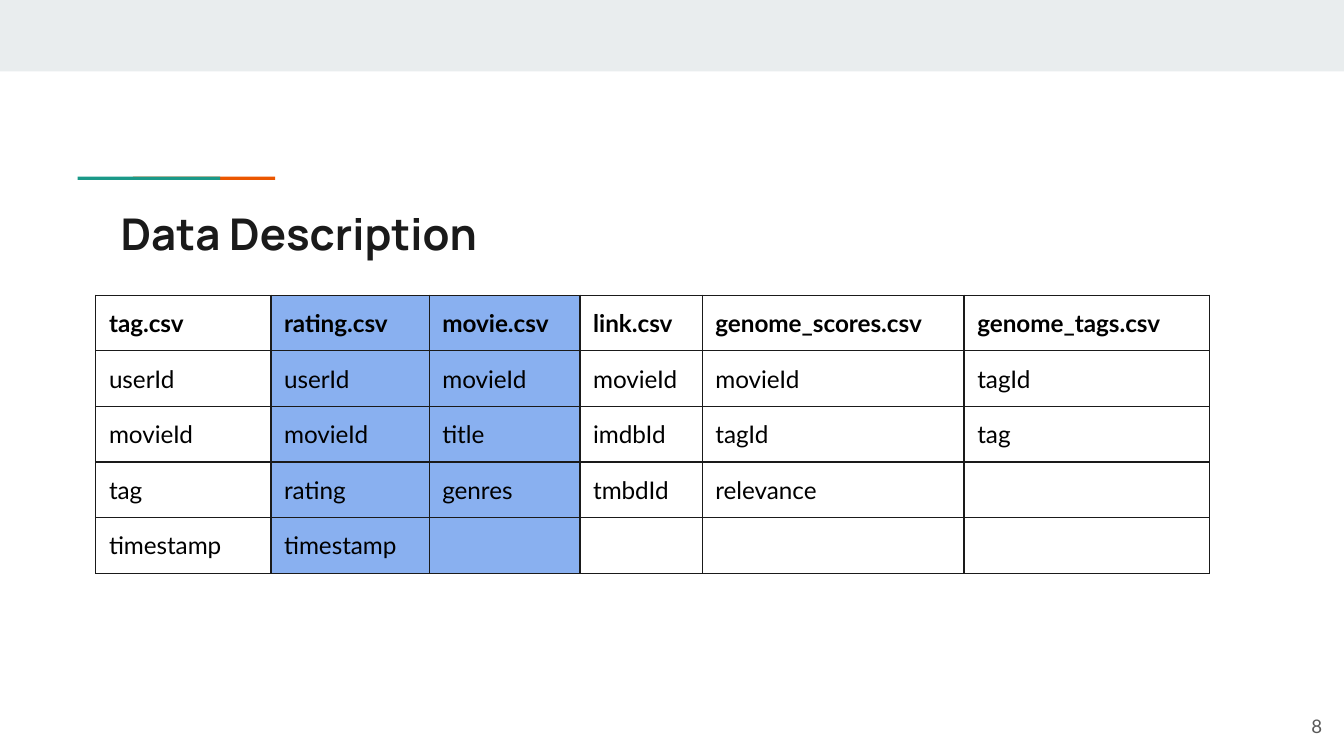
from dataclasses import dataclass

from lxml import etree
from pptx import Presentation
from pptx.dml.color import RGBColor
from pptx.enum.shapes import MSO_SHAPE
from pptx.enum.text import MSO_ANCHOR, MSO_AUTO_SIZE, PP_ALIGN
from pptx.oxml.ns import qn
from pptx.util import Cm, Pt

RECTANGLE = MSO_SHAPE.RECTANGLE
TOP, MIDDLE = MSO_ANCHOR.TOP, MSO_ANCHOR.MIDDLE
LEFT, RIGHT = PP_ALIGN.LEFT, PP_ALIGN.RIGHT
NO_AUTO_SIZE = MSO_AUTO_SIZE.NONE

WHITE = RGBColor(0xFF, 0xFF, 0xFF)
BLACK = RGBColor(0x00, 0x00, 0x00)
INK = RGBColor(0x1A, 0x1A, 0x1A)
GREY = RGBColor(0x59, 0x59, 0x59)
PALE = RGBColor(0xE9, 0xED, 0xEE)
ORANGE = RGBColor(0xEB, 0x56, 0x00)
TEAL = RGBColor(0x1A, 0x99, 0x88)
BLUE = RGBColor(0x4A, 0x86, 0xE8)

BODY_FONT, TITLE_FONT = "Lato", "Manrope"
CELL_SIZE = 13
HIGHLIGHT_OPACITY = 65
INSET = Cm(0.25)
ROW_HEIGHT = 1.05


@dataclass
class Bar:
    left: float
    top: float
    width: float
    height: float
    color: RGBColor


@dataclass
class DataFile:
    name: str
    width: float
    fields: list[str]
    highlighted: bool = False


BARS = [
    Bar(0, 0, 25.4, 1.35, PALE),
    Bar(2.51, 3.34, 2.69, 0.06, ORANGE),
    Bar(1.47, 3.34, 2.69, 0.06, TEAL),
]

DATA_FILES = [
    DataFile("tag.csv", 3.31, ["userId", "movieId", "tag", "timestamp"]),
    DataFile("rating.csv", 2.99, ["userId", "movieId", "rating", "timestamp"], True),
    DataFile("movie.csv", 2.85, ["movieId", "title", "genres"], True),
    DataFile("link.csv", 2.31, ["movieId", "imdbId", "tmbdId"]),
    DataFile("genome_scores.csv", 4.95, ["movieId", "tagId", "relevance"]),
    DataFile("genome_tags.csv", 4.64, ["tagId", "tag"]),
]


def add_bar(slide, bar: Bar) -> None:
    shape = slide.shapes.add_shape(
        RECTANGLE, Cm(bar.left), Cm(bar.top), Cm(bar.width), Cm(bar.height))
    shape.shadow.inherit = False
    shape.fill.solid()
    shape.fill.fore_color.rgb = bar.color
    shape.line.fill.background()


def add_run(paragraph, text: str, font_name: str, size: float,
            color: RGBColor, bold: bool = False) -> None:
    run = paragraph.add_run()
    run.text = text
    run.font.name = font_name
    run.font.size = Pt(size)
    run.font.bold = bold
    run.font.color.rgb = color


def format_frame(shape, anchor, alignment):
    """Set insets, anchor and alignment; return the first paragraph."""
    frame = shape.text_frame
    frame.word_wrap = True
    frame.auto_size = NO_AUTO_SIZE
    frame.vertical_anchor = anchor
    frame.margin_left = frame.margin_right = INSET
    frame.margin_top = frame.margin_bottom = INSET
    paragraph = frame.paragraphs[0]
    paragraph.alignment = alignment
    return paragraph


def add_borders(cell) -> None:
    properties = cell._tc.get_or_add_tcPr()
    for position, side in enumerate(("a:lnL", "a:lnR", "a:lnT", "a:lnB")):
        line = etree.Element(qn(side), w=str(Pt(0.75)))
        fill = etree.SubElement(line, qn("a:solidFill"))
        etree.SubElement(fill, qn("a:srgbClr"), val=str(INK))
        properties.insert(position, line)


def fill_cell(cell, text: str, bold: bool, highlighted: bool) -> None:
    cell.margin_left = cell.margin_right = INSET
    cell.margin_top = cell.margin_bottom = INSET
    cell.vertical_anchor = TOP
    if highlighted:
        cell.fill.solid()
        cell.fill.fore_color.rgb = BLUE
        color = cell._tc.tcPr.find(".//" + qn("a:srgbClr"))
        etree.SubElement(color, qn("a:alpha"), val=str(HIGHLIGHT_OPACITY * 1000))
    else:
        cell.fill.background()
    add_borders(cell)

    paragraph = cell.text_frame.paragraphs[0]
    if text:
        add_run(paragraph, text, BODY_FONT, CELL_SIZE, BLACK, bold)
    else:
        # Keeps an empty cell from stretching its row
        ending = etree.SubElement(
            paragraph._p, qn("a:endParaRPr"), sz=str(CELL_SIZE * 100))
        etree.SubElement(ending, qn("a:latin"), typeface=BODY_FONT)


def add_data_table(slide, data_files: list[DataFile], left: float, top: float) -> None:
    row_count = 1 + max(len(data_file.fields) for data_file in data_files)
    width = sum(data_file.width for data_file in data_files)
    table = slide.shapes.add_table(
        row_count, len(data_files), Cm(left), Cm(top),
        Cm(width), Cm(ROW_HEIGHT * row_count)).table
    table.horz_banding = False
    table.first_row = False
    for row in table.rows:
        row.height = Cm(ROW_HEIGHT)
    for column_index, data_file in enumerate(data_files):
        table.columns[column_index].width = Cm(data_file.width)
        texts = [data_file.name] + data_file.fields
        texts += [""] * (row_count - len(texts))
        for row_index, text in enumerate(texts):
            fill_cell(table.cell(row_index, column_index), text,
                      row_index == 0, data_file.highlighted)


def main() -> None:
    presentation = Presentation()
    presentation.slide_width, presentation.slide_height = Cm(25.4), Cm(14.29)
    slide = presentation.slides.add_slide(presentation.slide_layouts[5])
    slide.background.fill.solid()
    slide.background.fill.fore_color.rgb = WHITE

    # Top band and two-colour accent line
    for bar in BARS:
        add_bar(slide, bar)

    # Title
    title = slide.shapes.title
    title.left, title.top, title.width, title.height = (
        Cm(2.03), Cm(3.66), Cm(21.36), Cm(1.5))
    add_run(format_frame(title, TOP, LEFT), "Data Description",
            TITLE_FONT, 23.4, INK, True)

    # Fields of each data file
    add_data_table(slide, DATA_FILES, 1.81, 5.58)

    # Slide number
    number = slide.shapes.add_textbox(Cm(23.72), Cm(13.18), Cm(1.52), Cm(1.09))
    add_run(format_frame(number, MIDDLE, RIGHT), "8", BODY_FONT, 10, GREY)

    presentation.save("out.pptx")


if __name__ == "__main__":
    main()
